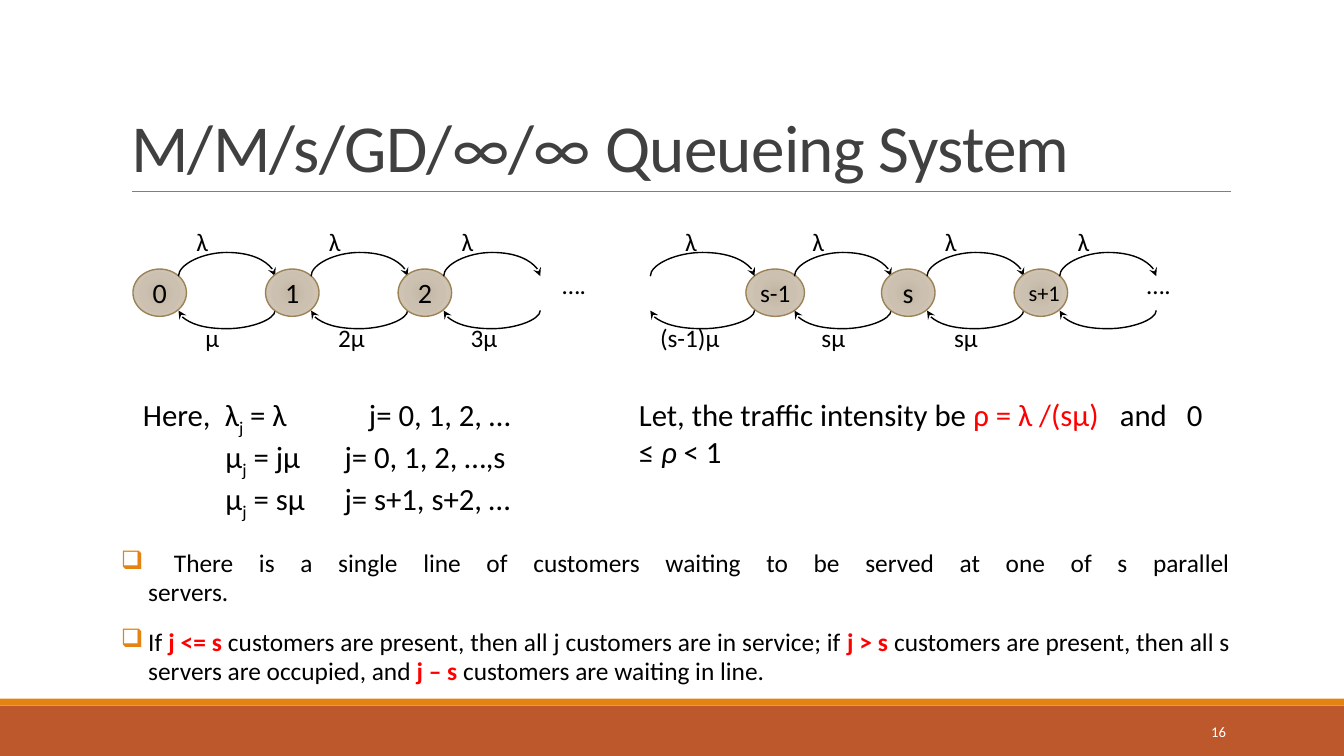
from pptx import Presentation
from pptx.dml.color import RGBColor
from pptx.enum.shapes import MSO_CONNECTOR as CONNECTOR, MSO_SHAPE as SHAPE
from pptx.enum.text import MSO_ANCHOR as ANCHOR, PP_ALIGN as ALIGN
from pptx.oxml import parse_xml
from pptx.oxml.ns import nsdecls, qn
from pptx.util import Pt
from lxml.etree import SubElement

# Content: a run is plain text or (text, format)
TITLE = "M/M/s/GD/∞/∞ Queueing System"
PAGE = "16"
RED = {"color": "FF0000"}
KEY = {"color": "FF0000", "bold": True}
SUB = {"baseline": -25000}
# Each chain: left edge and (state, size, departure rate of the arc to its right)
CHAINS = [
    (95, [("0", 20, "μ"), ("1", 20, "2μ"), ("2", 20, "3μ")]),
    (535, [("s-1", 18, "sμ"), ("s", 20, "sμ"), ("s+1", 16, None)]),
]
RATES = [
    (["Here,\tλ", ("j", SUB), " = λ\tj= 0, 1, 2, …"], (58.5, 161.5)),
    (["\tμ", ("j", SUB), " = jμ\tj= 0, 1, 2, …,s"], (59, 144)),
    (["\tμ", ("j", SUB), " = sμ\tj= s+1, s+2, …"], (59, 144)),
]
INTENSITY = ["Let, the traffic intensity be ", ("ρ = λ /(sμ)", RED),
             "\tand\t0 ≤ ", ("ρ ", {"italic": True}), "< 1"]
NOTES = [
    [" There is a single line of customers waiting to be served at one of s parallel\vservers."],
    ["If ", ("j <= s ", KEY),
     "customers are present, then all j customers are in service; if ", ("j > s ", KEY),
     "customers are present, then all s\vservers are occupied, and ", ("j – s", KEY),
     " customers are waiting in line."],
]

# Geometry of the diagram
PITCH, STATE_W, STATE_TOP, STATE_H = 94.7, 38.2, 192.2, 33.8
ARC_SHIFT, ARC_W = 32.5, 69
UPPER_Y, LOWER_Y, UPPER_RISE, LOWER_DROP = 197.3, 221.8, 15, 11.5
LAMBDA_TOP, MU_TOP, DOTS_TOP = 158.4, 226.8, 188.6
THIN = 0.1

prs = Presentation()
prs.slide_width, prs.slide_height = Pt(960), Pt(540)
slide = prs.slides.add_slide(prs.slide_layouts[5])
shapes = slide.shapes


def rgb(value):
    return RGBColor.from_string(value)


def write(paragraph, runs, size=18, color="000000", align=None, spacing=None, track=None):
    paragraph.alignment = align
    if spacing:
        paragraph.line_spacing = spacing
    for item in runs:
        words, extra = (item, {}) if isinstance(item, str) else item
        for i, part in enumerate(words.split("\v")):
            if i:
                paragraph.add_line_break()
            run = paragraph.add_run()
            run.text = part
            font = run.font
            font.name, font.size = "Calibri", Pt(size)
            font.color.rgb = rgb(extra.get("color", color))
            font.bold, font.italic = extra.get("bold"), extra.get("italic")
            if "baseline" in extra:
                font._element.set("baseline", str(extra["baseline"]))
            if track:
                font._element.set("spc", str(track))


def text_box(left, top, width, height):
    frame = shapes.add_textbox(Pt(left), Pt(top), Pt(width), Pt(height)).text_frame
    frame.word_wrap = True
    return frame


def label(text, left, top, width=75):
    write(text_box(left, top, width, 29).paragraphs[0], [text])


def set_tabs(paragraph, stops):
    tabs = SubElement(paragraph._p.get_or_add_pPr(), qn("a:tabLst"))
    for stop in stops:
        SubElement(tabs, qn("a:tab"), pos=str(Pt(stop)), algn="l")


def band(top, height, color):
    bar = shapes.add_shape(SHAPE.RECTANGLE, 0, Pt(top), prs.slide_width, Pt(height))
    bar.shadow.inherit = False
    bar.fill.solid()
    bar.fill.fore_color.rgb = rgb(color)
    bar.line.fill.background()


def connect(kind, x1, y1, x2, y2, color, width):
    line = shapes.add_connector(kind, Pt(x1), Pt(y1), Pt(x2), Pt(y2))
    line.line.color.rgb = rgb(color)
    line.line.width = Pt(width)
    SubElement(line._element.spPr, qn("a:effectLst"))
    return line


def arc(left, width, y, depth, upper):
    """A curve turned by a quarter: upper runs rightwards, lower leftwards."""
    middle, sign = left + width / 2, 1 if upper else -1
    dx, dy = sign * THIN / 2, sign * width / 2
    curve = connect(CONNECTOR.CURVE, middle + dx, y + dy, middle - dx, y - dy, "000000", 1)
    props = curve._element.spPr
    props.find(qn("a:xfrm")).set("rot", "5400000")
    guides = props.find(qn("a:prstGeom")).find(qn("a:avLst"))
    SubElement(guides, qn("a:gd"), name="adj1", fmla=f"val {round(depth / THIN * 100000)}")
    SubElement(props.find(qn("a:ln")), qn("a:tailEnd"), type="stealth")


def arc_pair(left, width=ARC_W):
    arc(left, width, UPPER_Y, UPPER_RISE, True)
    arc(left, width, LOWER_Y, LOWER_DROP, False)


def state(name, size, left, width=STATE_W, align=ALIGN.CENTER):
    oval = shapes.add_shape(SHAPE.OVAL, Pt(left), Pt(STATE_TOP), Pt(width), Pt(STATE_H))
    oval.shadow.inherit = False
    oval.fill.solid()
    props = oval._element.spPr
    stops = "".join(f'<a:gs pos="{pos}"><a:srgbClr val="{color}"/></a:gs>' for pos, color in
                    [(0, "C2B5A2"), (45000, "CCC1B1"), (100000, "D4C8B8")])
    props.replace(props.find(qn("a:solidFill")), parse_xml(
        f'<a:gradFill {nsdecls("a")}><a:gsLst>{stops}</a:gsLst><a:path path="circle">'
        '<a:fillToRect l="100000" t="100000" r="100000" b="100000"/></a:path></a:gradFill>'))
    oval.line.color.rgb = rgb("9B8357")
    oval.line.width = Pt(1)
    frame = oval.text_frame
    frame.margin_left = frame.margin_right = frame.margin_top = frame.margin_bottom = 0
    frame.vertical_anchor = ANCHOR.MIDDLE
    write(frame.paragraphs[0], [name], size=size, align=align)


# Footer bands, title and rule
band(504, 36, "BD582C")
band(499, 5, "E48312")
connect(CONNECTOR.STRAIGHT, 94.3, 136.8, 879.1, 136.8, "808080", 0.5)
title = shapes.title
title.left, title.top, title.width, title.height = Pt(86.4), Pt(22.3), Pt(792), Pt(114.5)
title.text_frame.vertical_anchor = ANCHOR.BOTTOM
write(title.text_frame.paragraphs[0], [TITLE], size=48, color="404040",
      align=ALIGN.LEFT, spacing=0.85, track=-50)

# Birth-death chains
for chain_left, states in CHAINS:
    for i, (name, size, departure) in enumerate(states):
        left = chain_left + i * PITCH
        if name == "s-1":
            state(name, size, left - 2.2, 41.8)
        else:
            state(name, size, left, align=ALIGN.RIGHT if name == "s+1" else ALIGN.CENTER)
        arc_pair(left + ARC_SHIFT)
        label("λ", left + 38.2, LAMBDA_TOP)
        if departure:
            label(departure, left + 44.7, MU_TOP)
arc_pair(464.5, 74.5)
label("λ", 482.4, LAMBDA_TOP)
label("(s-1)μ", 464.4, MU_TOP)
for dots_left in (394.6, 812.2):
    label("….", dots_left, DOTS_TOP)

# Rates and traffic intensity
rates = text_box(95, 279.4, 320, 87)
for i, (runs, stops) in enumerate(RATES):
    line = rates.add_paragraph() if i else rates.paragraphs[0]
    write(line, runs, size=22)
    set_tabs(line, stops)
intensity = text_box(449.3, 279.4, 429, 82).paragraphs[0]
write(intensity, INTENSITY, size=22)
set_tabs(intensity, (343.5, 391.5))

# Bulleted notes
notes = text_box(86.4, 392, 792, 104)
notes.margin_left = notes.margin_right = notes.margin_top = notes.margin_bottom = 0
for i, runs in enumerate(NOTES):
    note = notes.add_paragraph() if i else notes.paragraphs[0]
    write(note, runs, size=18.1, align=ALIGN.JUSTIFY, spacing=0.97)
    note.space_before, note.space_after = Pt(12 if i else 0), Pt(2)
    props = note._p.get_or_add_pPr()
    props.set("marL", str(Pt(19.5)))
    props.set("indent", str(Pt(-19.5)))
    SubElement(SubElement(props, qn("a:buClr")), qn("a:srgbClr"), val="E48312")
    SubElement(props, qn("a:buChar"), char="❑")

# Slide number
number = text_box(779.8, 508.3, 103, 28.8)
number.vertical_anchor = ANCHOR.MIDDLE
write(number.paragraphs[0], [PAGE], size=10.5, color="FFFFFF", align=ALIGN.RIGHT)

prs.save("out.pptx")
